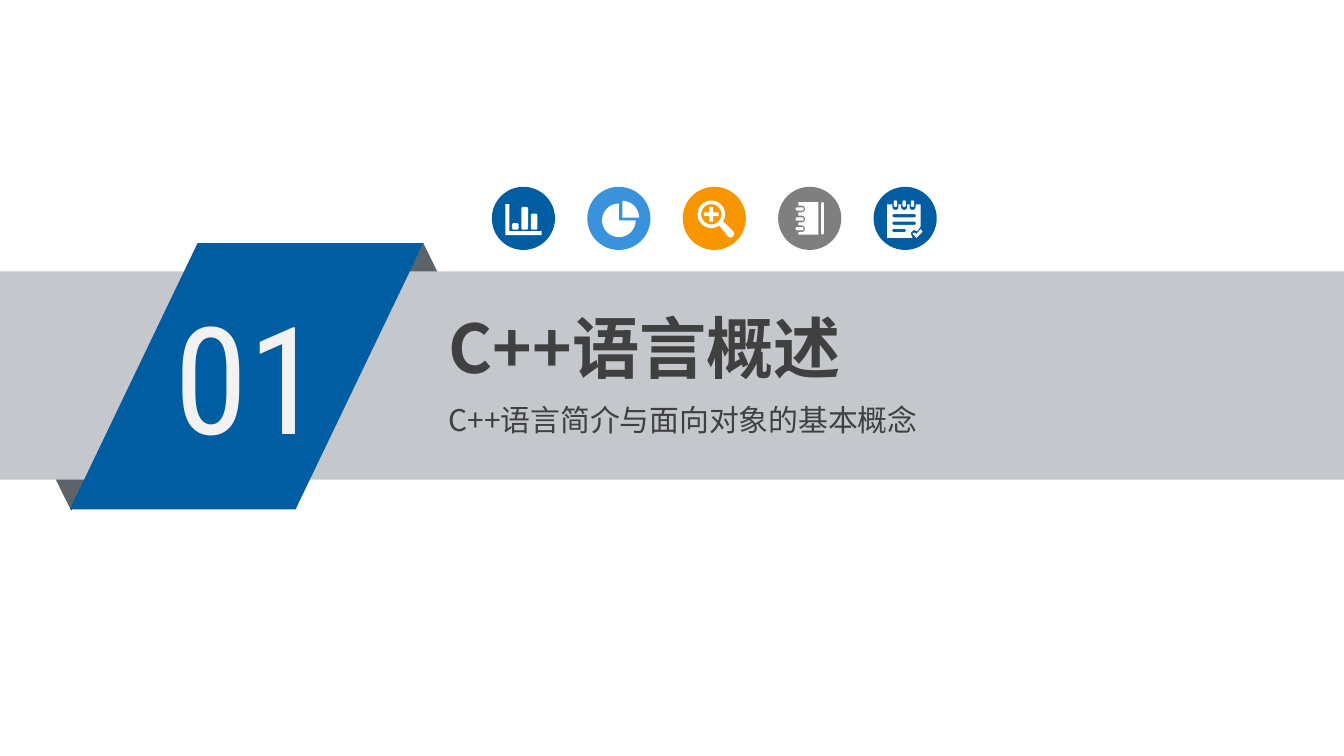
from math import cos, radians, sin

from lxml.etree import SubElement
from pptx import Presentation
from pptx.dml.color import RGBColor
from pptx.enum.shapes import MSO_SHAPE as Preset
from pptx.enum.text import MSO_ANCHOR as Anchor, MSO_AUTO_SIZE as AutoSize, PP_ALIGN as Align
from pptx.oxml.ns import qn
from pptx.util import Inches, Pt

COLORS = {
    "blue": "005DA2", "sky": "3992DB", "orange": "F79600", "gray": "7F7F7F",
    "band": "C4C7CB", "fold": "5D636A", "ink": "404040", "pale": "F2F2F2", "white": "FFFFFF",
}
CELL = 0.1
ICON_UNIT = 0.1


def arc(x, y, radius, start=0, end=360, steps=24):
    angles = [radians(start + (end - start) * i / steps) for i in range(steps + 1)]
    return [(x + radius * cos(a), y + radius * sin(a)) for a in angles]


def bar(left, top, width, height, radius):
    right, bottom = left + width - radius, top + height - radius
    left, top = left + radius, top + radius
    corners = [(left, top, 180), (right, top, 270), (right, bottom, 0), (left, bottom, 90)]
    return [point for x, y, a in corners for point in arc(x, y, radius, a, a + 90, 6)]


def chart_icon():
    axes = [(-13.5, -10.5), (-10.5, -10.5), (-10.5, 9.5), (13.5, 9.5), (13.5, 12.5), (-13.5, 12.5)]
    columns = [(-8.5, 5), (-1.5, 17), (5.5, 12)]
    return [axes] + [bar(x, 8.5 - height, 5, height, 1.5) for x, height in columns]


def pie_icon():
    return [[(2.5, -0.5)] + arc(2.5, -0.5, 12.5, -90, 0), [(0, 1.5)] + arc(0, 1.5, 12.5, 0, 270)]


def magnifier_icon():
    x, y, arm, half = -2.25, -3, 5.5, 1.4
    rim = arc(x, y, 10.25, 55, 391) + arc(12, 11.5, 2.7, -45, 135)
    plus = [(-half, -arm), (half, -arm), (half, -half), (arm, -half), (arm, half), (half, half),
            (half, arm), (-half, arm), (-half, half), (-arm, half), (-arm, -half), (-half, -half)]
    return [rim, arc(x, y, 7.6), [(x + dx, y + dy) for dx, dy in plus]]


def notebook_icon():
    rings = (7.75, 0.5, -7)
    pages = [(6.5, -12), (6.5, 12), (-8.5, 12)]
    for y in rings:
        pages += [(-8.5, y + 2.5)] + arc(-6, y, 2.5, 90, -90) + [(-8.5, y - 2.5)]
    pages.append((-8.5, -12))
    return [pages, bar(8.5, -12, 2, 24, 1)] + [bar(-10.5, y - 1.25, 6, 2.5, 1.25) for y in rings]


def checklist_icon():
    rings = (-7.25, -0.75, 5.5)
    sheet = [(-13.5, -10.5)]
    for x in rings:
        sheet += [(x - 2.25, -10.5)] + arc(x, -8.5, 2.25, 180, 0) + [(x + 2.25, -10.5)]
    sheet += [(11.5, -10.5), (11.5, 6), (9, 9.5), (6.5, 8.5), (4, 11), (5.5, 14.5), (-13.5, 14.5)]
    check = [(6.5, 10.5), (8.5, 11.5), (11.5, 8), (13, 10), (8.5, 14.5), (5.5, 11.5)]
    lines = [bar(-9.5, y, width, 2.4, 1.2) for y, width in ((-3.2, 17.5), (2.4, 17.5), (7.8, 10))]
    return [sheet, check] + lines + [bar(x - 1.25, -13.5, 2.5, 5, 1.25) for x in rings]


class Deck:
    """Holds the style and the current slide, measured in cells of a 100-column grid."""

    def __init__(self, columns, rows):
        self.file = Presentation()
        self.file.slide_width, self.file.slide_height = self.cells(columns, rows)
        self.slide = self.file.slides.add_slide(self.file.slide_layouts[0])
        self.shapes = self.slide.shapes

    def cells(self, *values):
        return [Inches(value * CELL) for value in values]

    def paint(self, shape, color):
        shape.shadow.inherit = False
        shape.fill.solid()
        shape.fill.fore_color.rgb = RGBColor.from_string(COLORS[color])
        shape.line.fill.background()

    def block(self, preset, color, box, turn=0):
        block = self.shapes.add_shape(preset, *self.cells(*box))
        block.rotation = turn
        self.paint(block, color)
        return block

    def icon(self, x, y, contours):
        placed = [[tuple(self.cells(x + dx * ICON_UNIT, y + dy * ICON_UNIT)) for dx, dy in contour]
                  for contour in contours]
        builder = self.shapes.build_freeform(*placed[0][0])
        for index, contour in enumerate(placed):
            if index:
                builder.move_to(*contour[0])
            builder.add_line_segments(contour[1:], close=True)
        self.paint(builder.convert_to_shape(), "white")

    def label(self, holder, text, box, size, color, font, bold=False):
        holder.left, holder.top, holder.width, holder.height = self.cells(*box)
        frame = holder.text_frame
        frame.text = text
        frame.word_wrap = True
        frame.auto_size = AutoSize.NONE
        frame.vertical_anchor = Anchor.MIDDLE
        frame.margin_left = frame.margin_right = Inches(0.08)
        frame.margin_top = frame.margin_bottom = Inches(0.04)
        paragraph = frame.paragraphs[0]
        paragraph.alignment = Align.LEFT
        paragraph.space_before = Pt(0)
        run = paragraph.runs[0]
        run.font.size, run.font.bold, run.font.name = Pt(size), bold, font
        run.font.color.rgb = RGBColor.from_string(COLORS[color])
        SubElement(run._r.get_or_add_rPr(), qn("a:ea"), typeface=font)

    def heading(self, holder, text, box, size, color, bold=False):
        self.shapes._spTree.append(holder._element)
        self.label(holder, text, box, size, color, "Noto Sans CJK SC", bold)

    def number(self, text, box, size, color):
        holder = self.shapes.add_textbox(*self.cells(*box))
        self.label(holder, text, box, size, color, "Roboto Condensed")


def main():
    deck = Deck(100, 56.25)
    deck.block(Preset.ISOSCELES_TRIANGLE, "fold", (27, 18.1, 9, 9.1))
    deck.block(Preset.ISOSCELES_TRIANGLE, "fold", (0.8, 28.9, 9, 9.1), turn=180)
    deck.block(Preset.RECTANGLE, "band", (0, 20.2, 100, 15.5))
    ribbon = deck.block(Preset.PARALLELOGRAM, "blue", (5.2, 18.1, 26.3, 19.8))
    ribbon.adjustments[0] = 0.48
    deck.number("01", (12.2, 20.8, 14.5, 14.2), 80, "pale")

    title, subtitle = deck.slide.placeholders
    deck.heading(title, "C++语言概述", (32.6, 22.4, 55.2, 6.8), 36, "ink", bold=True)
    deck.heading(subtitle, "C++语言简介与面向对象的基本概念", (32.6, 29.5, 45.8, 3.5), 16, "ink")

    badges = [("blue", chart_icon), ("sky", pie_icon), ("orange", magnifier_icon),
              ("gray", notebook_icon), ("blue", checklist_icon)]
    top, size, pitch = 13.9, 4.7, 7.1
    for index, (color, icon) in enumerate(badges):
        left = 36.6 + index * pitch
        deck.block(Preset.OVAL, color, (left, top, size, size))
        deck.icon(left + size / 2, top + size / 2, icon())

    deck.file.save("out.pptx")


if __name__ == "__main__":
    main()
